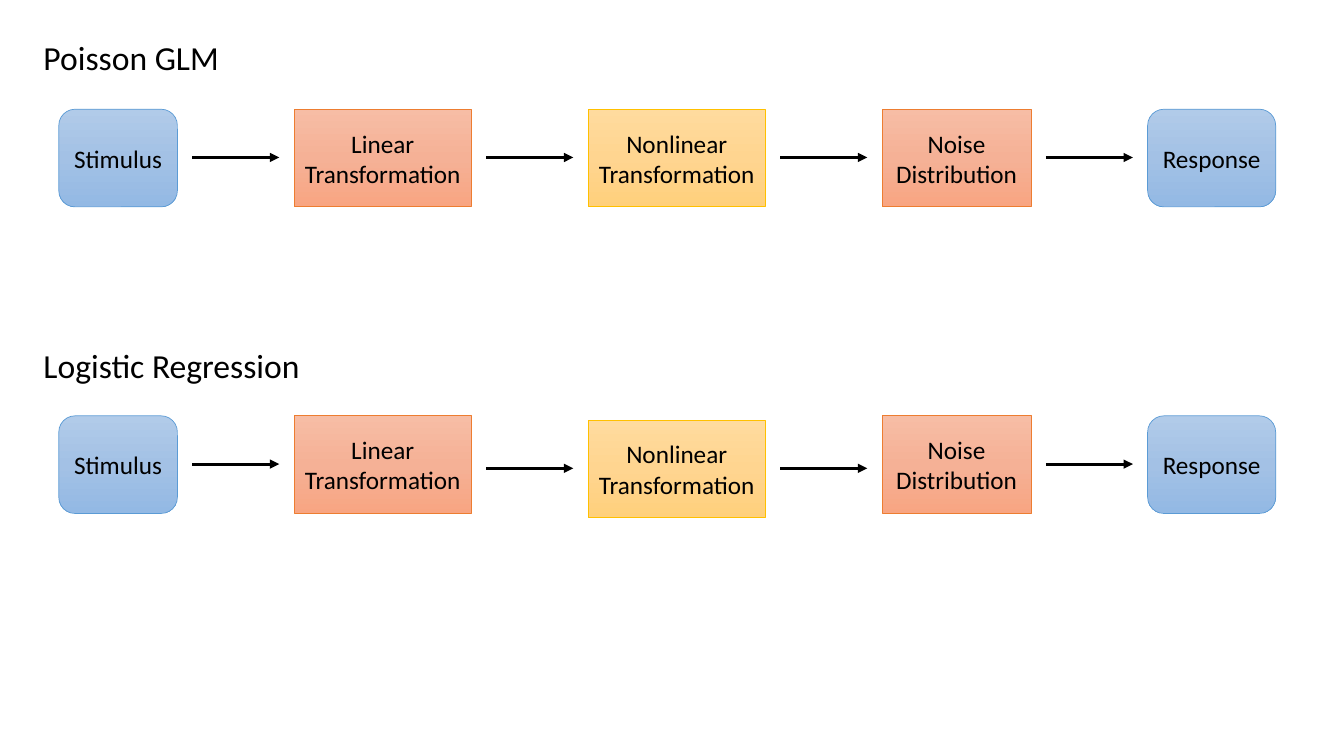
"""Build a slide comparing the Poisson GLM and logistic regression pipelines."""
from copy import deepcopy
from dataclasses import dataclass

from pptx import Presentation
from pptx.dml.color import RGBColor
from pptx.enum.shapes import MSO_CONNECTOR, MSO_SHAPE
from pptx.enum.text import MSO_ANCHOR, MSO_AUTO_SIZE, PP_ALIGN
from pptx.oxml.ns import qn
from pptx.slide import Slide
from pptx.text.text import _Paragraph as Paragraph
from pptx.util import Emu, Pt
from lxml.etree import SubElement


@dataclass(frozen=True)
class Tone:
    stops: tuple[str, str, str]
    outline: str


@dataclass(frozen=True)
class Theme:
    font: str = "Calibri"
    ink: str = "000000"
    title_pt: float = 24
    stage_pt: float = 18
    outline_pt: float = 0.5
    arrow_pt: float = 2.25
    blue: Tone = Tone(("B1CBE9", "A3C1E5", "93B9E4"), "5B9BD5")
    orange: Tone = Tone(("F7BDA5", "F5B196", "F8A582"), "ED7D31")
    gold: Tone = Tone(("FFDB9E", "FFD590", "FFD07C"), "FFC000")


@dataclass(frozen=True)
class Stage:
    label: str
    width: int
    tone: Tone
    outline_shape: MSO_SHAPE = MSO_SHAPE.RECTANGLE


@dataclass(frozen=True)
class Pipeline:
    title: str
    title_top: int
    title_width: int
    top: int
    drops: tuple[int, ...] = (0, 0, 0, 0, 0)


THEME = Theme()
EMU_PER_PX = 9525
SLIDE_WIDTH, SLIDE_HEIGHT = 1280, 720
TITLE_LEFT, TITLE_HEIGHT = 32, 48
STAGE_LEFT, STAGE_HEIGHT = 56, 93
STAGE_GAP, ARROW_INSET = 111, 14

STAGES = (
    Stage("Stimulus", 113, THEME.blue, MSO_SHAPE.ROUNDED_RECTANGLE),
    Stage("Linear Transformation", 169, THEME.orange),
    Stage("Nonlinear Transformation", 169, THEME.gold),
    Stage("Noise Distribution", 142, THEME.orange),
    Stage("Response", 122, THEME.blue, MSO_SHAPE.ROUNDED_RECTANGLE),
)
PIPELINES = (
    Pipeline("Poisson GLM", 30, 188, 104),
    Pipeline("Logistic Regression", 324, 266, 396, (0, 0, 4, 0, 0)),
)


def px(length: int) -> Emu:
    """Convert pixels to EMU."""
    return Emu(length * EMU_PER_PX)


def rgb(value: str) -> RGBColor:
    """Turn a hex string into a colour."""
    return RGBColor.from_string(value)


def write(paragraph: Paragraph, words: str, size: float) -> None:
    """Add one run in the theme font."""
    run = paragraph.add_run()
    run.text = words
    run.font.name = THEME.font
    run.font.size = Pt(size)
    run.font.color.rgb = rgb(THEME.ink)


def draw_title(slide: Slide, pipeline: Pipeline) -> None:
    """Put the name of a pipeline above its stages."""
    title = slide.shapes.add_textbox(
        px(TITLE_LEFT), px(pipeline.title_top), px(pipeline.title_width), px(TITLE_HEIGHT)
    )
    title.text_frame.word_wrap = False
    title.text_frame.auto_size = MSO_AUTO_SIZE.SHAPE_TO_FIT_TEXT
    write(title.text_frame.paragraphs[0], pipeline.title, THEME.title_pt)


def draw_stage(slide: Slide, stage: Stage, left: int, top: int) -> None:
    """Draw a labelled box with a three-stop vertical gradient."""
    box = slide.shapes.add_shape(
        stage.outline_shape, px(left), px(top), px(stage.width), px(STAGE_HEIGHT)
    )
    box.shadow.inherit = False
    box.fill.gradient()
    box.fill.gradient_angle = 270
    stop_list = box.element.spPr.find(f".//{qn('a:gsLst')}")
    stop_list.append(deepcopy(stop_list[0]))
    for stop, position, colour in zip(box.fill.gradient_stops, (0, 0.5, 1), stage.tone.stops):
        stop.position = position
        stop.color.rgb = rgb(colour)
    box.line.color.rgb = rgb(stage.tone.outline)
    box.line.width = Pt(THEME.outline_pt)
    frame = box.text_frame
    frame.word_wrap = True
    frame.vertical_anchor = MSO_ANCHOR.MIDDLE
    frame.paragraphs[0].alignment = PP_ALIGN.CENTER
    write(frame.paragraphs[0], stage.label, THEME.stage_pt)


def draw_arrow(slide: Slide, start: int, end: int, level: int) -> None:
    """Draw a horizontal arrow between two stages."""
    arrow = slide.shapes.add_connector(
        MSO_CONNECTOR.STRAIGHT, px(start), px(level), px(end), px(level)
    )
    arrow.line.color.rgb = rgb(THEME.ink)
    arrow.line.width = Pt(THEME.arrow_pt)
    properties = arrow.element.spPr
    SubElement(properties.find(qn("a:ln")), qn("a:tailEnd"), type="triangle")
    SubElement(properties, qn("a:effectLst"))


def draw_pipeline(slide: Slide, pipeline: Pipeline) -> None:
    """Draw a title and its chain of stages and arrows."""
    draw_title(slide, pipeline)
    left = STAGE_LEFT
    previous_drop = None
    for stage, drop in zip(STAGES, pipeline.drops):
        if previous_drop is not None:
            level = pipeline.top + max(previous_drop, drop) + round(STAGE_HEIGHT / 2)
            draw_arrow(slide, left - STAGE_GAP + ARROW_INSET, left - ARROW_INSET, level)
        draw_stage(slide, stage, left, pipeline.top + drop)
        left += stage.width + STAGE_GAP
        previous_drop = drop


def main() -> None:
    """Create and save the presentation."""
    deck = Presentation()
    deck.slide_width, deck.slide_height = px(SLIDE_WIDTH), px(SLIDE_HEIGHT)
    slide = deck.slides.add_slide(deck.slide_layouts[6])
    for pipeline in PIPELINES:
        draw_pipeline(slide, pipeline)
    deck.save("out.pptx")


if __name__ == "__main__":
    main()
